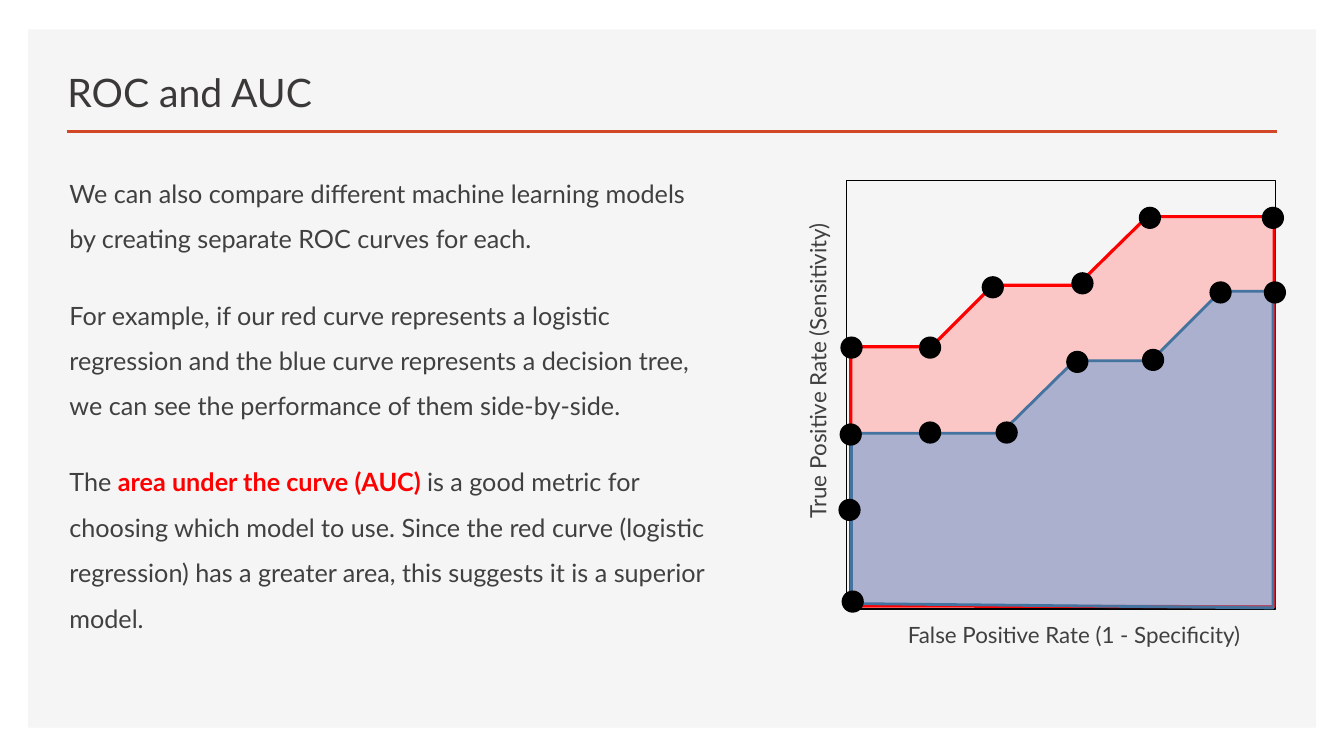
from dataclasses import dataclass

from lxml import etree
from pptx import Presentation
from pptx import util as u
from pptx.dml.color import RGBColor
from pptx.enum import shapes, text
from pptx.oxml import ns

FONT = "Lato"
PANEL = RGBColor(0xF5, 0xF5, 0xF5)
RULE = RGBColor(0xD2, 0x47, 0x26)
TITLE = RGBColor(0x3B, 0x38, 0x38)
BODY = RGBColor(0x40, 0x40, 0x40)
BLACK = RGBColor(0, 0, 0)
RED = RGBColor(0xFF, 0, 0)
PINK = RGBColor(0xFF, 0x99, 0x99)
BLUE = RGBColor(0x5B, 0x9B, 0xD5)
DARK_BLUE = RGBColor(0x43, 0x73, 0x9E)
MARKER_SIZE = 0.56


@dataclass
class Curve:
    points: list[tuple[float, float]]  # cm
    fill: RGBColor
    line: RGBColor
    width: float  # pt


@dataclass
class Label:
    words: str
    left: float  # cm
    top: float
    rotation: int = 0


CURVES = [
    Curve([(21.44, 15.27), (21.44, 8.74), (23.47, 8.74), (25.02, 7.19), (27.15, 7.19),
           (28.91, 5.46), (32.11, 5.46), (32.11, 15.29)], PINK, RED, 2.25),
    Curve([(21.46, 15.21), (21.46, 10.92), (25.22, 10.92), (27.08, 9.09), (29.01, 9.09),
           (30.76, 7.34), (32.08, 7.34), (32.08, 15.32)], BLUE, DARK_BLUE, 2),
]

# Marker centres, in cm
MARKERS = [
    (21.46, 8.76), (23.44, 8.76), (25.02, 7.24), (27.28, 7.14), (28.98, 5.49), (32.08, 5.49),
    (21.49, 15.16), (21.41, 12.85), (21.44, 10.95), (23.44, 10.9), (25.37, 10.9),
    (27.15, 9.12), (29.06, 9.07), (30.76, 7.37), (32.13, 7.37),
]

LABELS = [
    Label("True Positive Rate (Sensitivity)", 16.81, 7.44, 270),
    Label("False Positive Rate (1 - Specificity)", 22.63, 15.52),
]

# Each paragraph is a list of (words, emphasised) runs
PARAGRAPHS = [
    [("We can also compare different machine learning models by creating separate "
      "ROC curves for each.", False)],
    [("For example, if our red curve represents a logistic regression and the blue curve "
      "represents a decision tree, we can see the performance of them side-by-side.", False)],
    [("The ", False), ("area under the curve (AUC) ", True),
     ("is a good metric for choosing which model to use. Since the red curve (logistic "
      "regression) has a greater area, this suggests it is a superior model.", False)],
]


def style_font(font, size: float, color: RGBColor, bold: bool = False) -> None:
    font.name, font.size, font.bold = FONT, u.Pt(size), bold
    font.color.rgb = color


def add_preset(slide, kind, left: float, top: float, width: float, height: float,
               fill: RGBColor | None = None, line: RGBColor | None = None):
    sp = slide.shapes.add_shape(kind, u.Cm(left), u.Cm(top), u.Cm(width), u.Cm(height))
    sp.shadow.inherit = False
    if fill is None:
        sp.fill.background()
    else:
        sp.fill.solid()
        sp.fill.fore_color.rgb = fill
    if line is None:
        sp.line.fill.background()
    else:
        sp.line.color.rgb = line
        sp.line.width = u.Pt(1)
    return sp


def add_box(slide, left: float, top: float, width: float, height: float):
    sp = slide.shapes.add_textbox(u.Cm(left), u.Cm(top), u.Cm(width), u.Cm(height))
    sp.text_frame.word_wrap = True
    return sp


def add_curve(slide, curve: Curve) -> None:
    start, *rest = [(u.Cm(x), u.Cm(y)) for x, y in curve.points]
    builder = slide.shapes.build_freeform(*start)
    builder.add_line_segments(rest, close=True)
    sp = builder.convert_to_shape()
    sp.shadow.inherit = False
    sp.fill.solid()
    sp.fill.fore_color.rgb = curve.fill
    color = sp._element.spPr.find(ns.qn("a:solidFill"))[0]
    etree.SubElement(color, ns.qn("a:alpha"), val="50000")
    sp.line.color.rgb = curve.line
    sp.line.width = u.Pt(curve.width)


def add_label(slide, label: Label) -> None:
    sp = add_box(slide, label.left, label.top, 9.2, 2.54)
    sp.rotation = label.rotation
    p = sp.text_frame.paragraphs[0]
    p.text = label.words
    p.space_after = u.Pt(20)
    style_font(p.runs[0].font, 16, BODY)


def add_body(slide) -> None:
    tf = add_box(slide, 1.5, 3.99, 16.75, 13).text_frame
    for i, runs in enumerate(PARAGRAPHS):
        p = tf.add_paragraph() if i else tf.paragraphs[0]
        p.line_spacing = 1.5
        p.space_before = u.Pt(10 if i else 0)
        p.space_after = u.Pt(12)
        for words, emphasised in runs:
            r = p.add_run()
            r.text = words
            style_font(r.font, 18, RED if emphasised else BODY, emphasised)


def main() -> None:
    prs = Presentation()
    prs.slide_width, prs.slide_height = u.Cm(33.87), u.Cm(19.05)
    slide = prs.slides.add_slide(prs.slide_layouts[6])
    preset = shapes.MSO_SHAPE

    # Background panel and title rule
    add_preset(slide, preset.RECTANGLE, 0.71, 0.74, 32.46, 17.6, fill=PANEL)
    rule = slide.shapes.add_connector(shapes.MSO_CONNECTOR.STRAIGHT,
                                      u.Cm(1.68), u.Cm(3.32), u.Cm(32.18), u.Cm(3.32))
    rule.line.color.rgb = RULE
    rule.line.width = u.Pt(2)
    etree.SubElement(rule._element.spPr, ns.qn("a:effectLst"))

    # Title and body text
    tf = add_box(slide, 1.45, 1.25, 19.1, 1.78).text_frame
    tf.vertical_anchor = text.MSO_ANCHOR.BOTTOM
    tf.text = "ROC and AUC"
    style_font(tf.paragraphs[0].runs[0].font, 28, TITLE)
    add_body(slide)

    # ROC plot: frame, curves, markers, axis labels
    add_preset(slide, preset.RECTANGLE, 21.34, 4.55, 10.8, 10.8, line=BLACK)
    for curve in CURVES:
        add_curve(slide, curve)
    for x, y in MARKERS:
        add_preset(slide, preset.OVAL, x - MARKER_SIZE / 2, y - MARKER_SIZE / 2,
                   MARKER_SIZE, MARKER_SIZE, fill=BLACK)
    for label in LABELS:
        add_label(slide, label)

    prs.save("out.pptx")


if __name__ == "__main__":
    main()
